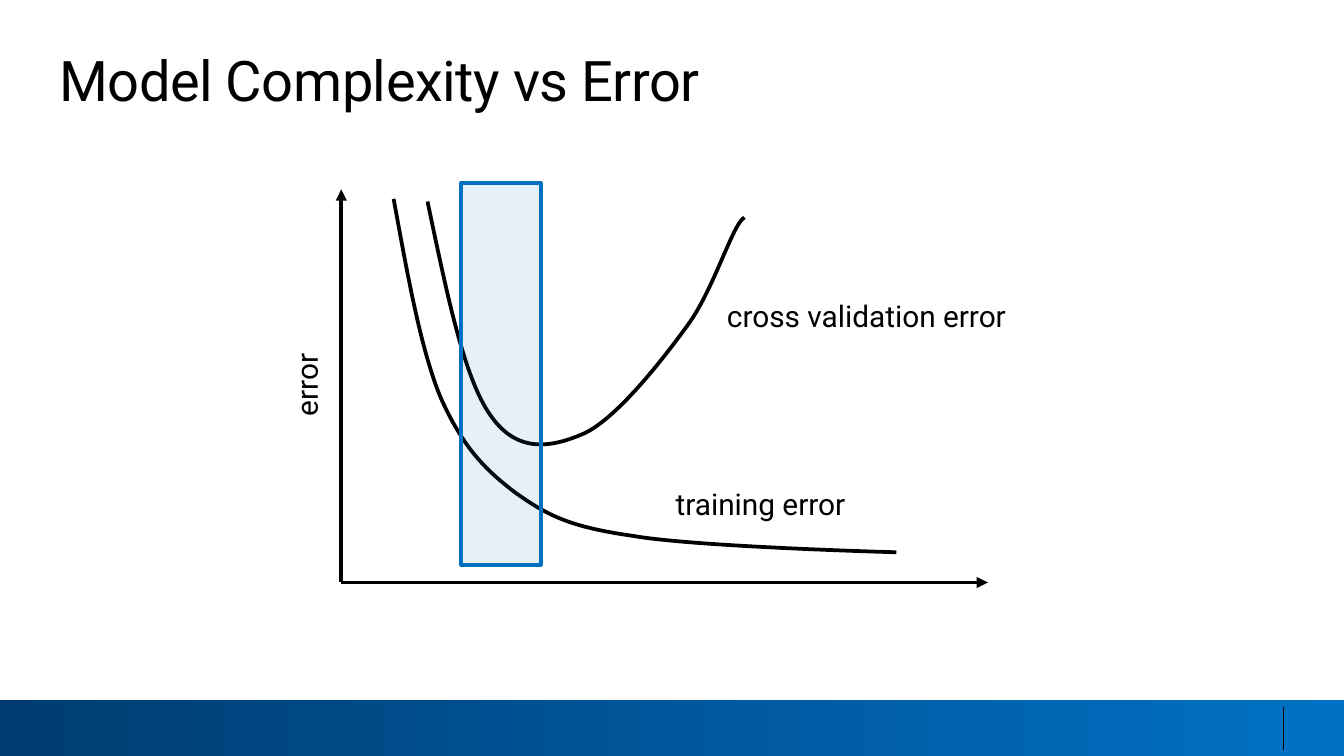
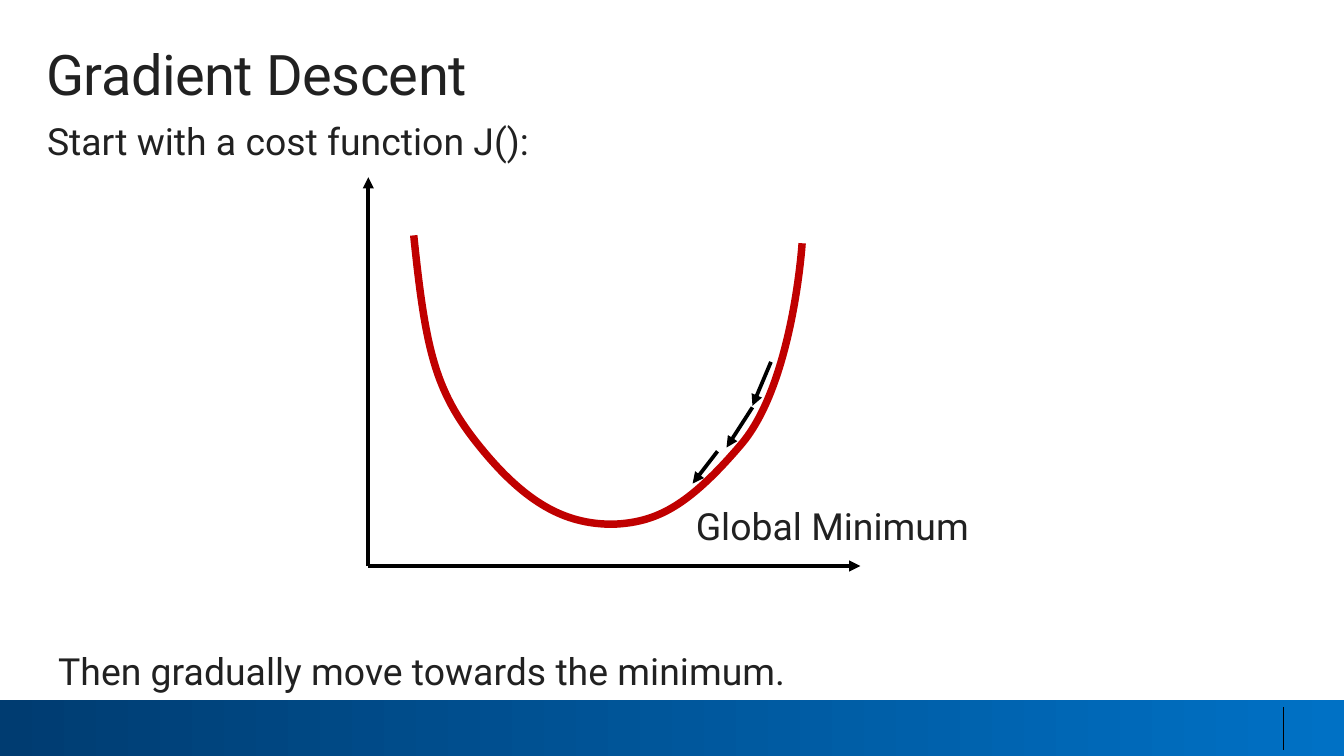
from dataclasses import dataclass
from typing import Any

from lxml import etree
from pptx import Presentation
from pptx import util as u
from pptx.dml.color import RGBColor
from pptx.enum import shapes, text
from pptx.oxml import ns

Point = tuple[float, float]  # centimetres


@dataclass(frozen=True)
class Theme:
    font: str = "Roboto"
    black: str = "000000"
    ink: str = "212121"
    band_start: str = "003C71"
    band_end: str = "0071C5"
    zone: str = "0070C0"
    cost: str = "C00000"
    title_size: float = 30
    body_size: float = 20
    label_size: float = 16
    stroke: float = 2
    cost_stroke: float = 4
    divider_stroke: float = 0.75


THEME = Theme()
SLIDE_WIDTH, SLIDE_HEIGHT = 25.4, 14.29
BAND_TOP = 13.23


@dataclass(frozen=True)
class Box:
    left: float
    top: float
    width: float
    height: float

    def lengths(self) -> list[u.Length]:
        return [u.Cm(v) for v in (self.left, self.top, self.width, self.height)]


@dataclass(frozen=True)
class Caption:
    """Body text on the slide."""
    words: str
    box: Box


@dataclass(frozen=True)
class CurveLabel:
    """Small label that belongs to the plot."""
    words: str
    box: Box
    align: Any = text.PP_ALIGN.LEFT
    anchor: Any = text.MSO_ANCHOR.BOTTOM
    rotation: float = 0
    bottom_inset: float = 0.05


@dataclass(frozen=True)
class Segment:
    start: Point
    end: Point
    color: str = THEME.black
    width: float = THEME.stroke
    arrow: bool = True


@dataclass(frozen=True)
class Curve:
    """Cubic Bézier chain: a start, then two controls and an end per piece."""
    points: tuple[Point, ...]
    color: str = THEME.black
    width: float = THEME.stroke


def apply(target: Any, values: dict[str, Any]) -> None:
    for name, value in values.items():
        setattr(target, name, value)


def rgb(color: str) -> RGBColor:
    return RGBColor.from_string(color)


def set_line(line: Any, color: str, width: float) -> None:
    line.color.rgb = rgb(color)
    line.width = u.Pt(width)


def write(frame: Any, words: str, size: float, color: str,
          align: Any = text.PP_ALIGN.LEFT) -> Any:
    frame.text = words
    paragraph = frame.paragraphs[0]
    paragraph.alignment = align
    font = paragraph.runs[0].font
    apply(font, {"name": THEME.font, "size": u.Pt(size), "bold": False})
    font.color.rgb = rgb(color)
    return paragraph


# Drawing the repeated elements; a canvas is the shapes of a slide or group

def draw_segment(canvas: Any, segment: Segment) -> None:
    ends = [u.Cm(v) for v in (*segment.start, *segment.end)]
    connector = canvas.add_connector(shapes.MSO_CONNECTOR.STRAIGHT, *ends)
    set_line(connector.line, segment.color, segment.width)
    if segment.arrow:
        etree.SubElement(connector.line._get_or_add_ln(), ns.qn("a:tailEnd"), type="triangle")
    etree.SubElement(connector._element.spPr, ns.qn("a:effectLst"))


def draw_curve(canvas: Any, curve: Curve) -> None:
    start, *rest = [(u.Cm(x), u.Cm(y)) for x, y in curve.points]
    builder = canvas.build_freeform(*start)
    builder.add_line_segments(rest, close=False)
    outline = builder.convert_to_shape()
    outline.shadow.inherit = False
    outline.fill.background()
    set_line(outline.line, curve.color, curve.width)
    # Turn every three straight steps into one Bézier piece
    steps = list(outline._element.iter(ns.qn("a:lnTo")))
    route = steps[0].getparent()
    for first in range(0, len(steps), 3):
        piece = etree.SubElement(route, ns.qn("a:cubicBezTo"))
        for step in steps[first:first + 3]:
            piece.append(step[0])
            route.remove(step)


def draw_caption(canvas: Any, caption: Caption) -> None:
    frame = canvas.add_textbox(*caption.box.lengths()).text_frame
    frame.word_wrap = True
    write(frame, caption.words, THEME.body_size, THEME.ink)


def draw_curve_label(canvas: Any, label: CurveLabel) -> None:
    plate = canvas.add_shape(shapes.MSO_SHAPE.RECTANGLE, *label.box.lengths())
    plate.rotation = label.rotation
    plate.shadow.inherit = False
    plate.fill.background()
    plate.line.fill.background()
    apply(plate.text_frame, {
        "word_wrap": True,
        "vertical_anchor": label.anchor,
        "margin_bottom": u.Cm(label.bottom_inset),
    })
    paragraph = write(plate.text_frame, label.words, THEME.label_size, THEME.black, label.align)
    paragraph.line_spacing = u.Pt(21)


def draw_footer(canvas: Any) -> None:
    box = Box(0, BAND_TOP, SLIDE_WIDTH, SLIDE_HEIGHT - BAND_TOP)
    band = canvas.add_shape(shapes.MSO_SHAPE.RECTANGLE, *box.lengths())
    band.shadow.inherit = False
    band.line.fill.background()
    band.fill.gradient()
    band.fill.gradient_angle = 0
    colors = (THEME.band_start, THEME.band_end)
    for stop, color, position in zip(band.fill.gradient_stops, colors, (0, 1)):
        stop.color.rgb = rgb(color)
        stop.position = position
    draw_segment(canvas, Segment((24.26, 13.36), (24.26, 14.17),
                                 width=THEME.divider_stroke, arrow=False))


def draw_axes(canvas: Any, origin: Point, top: float, right: float) -> None:
    for tip in ((origin[0], top), (right, origin[1])):
        draw_segment(canvas, Segment(origin, tip))


def draw_zone(canvas: Any, box: Box) -> None:
    zone = canvas.add_shape(shapes.MSO_SHAPE.RECTANGLE, *box.lengths())
    zone.shadow.inherit = False
    zone.fill.solid()
    zone.fill.fore_color.rgb = rgb(THEME.zone)
    tint = zone._element.spPr.find(ns.qn("a:solidFill")).find(ns.qn("a:srgbClr"))
    etree.SubElement(tint, ns.qn("a:alpha"), val="10000")
    set_line(zone.line, THEME.zone, THEME.stroke)


def add_titled_slide(deck: Any, words: str, box: Box, color: str) -> Any:
    slide = deck.slides.add_slide(deck.slide_layouts[5])
    title = slide.shapes.title
    apply(title, dict(zip(("left", "top", "width", "height"), box.lengths())))
    apply(title.text_frame, {
        "margin_left": 0, "margin_right": 0, "margin_top": 0, "margin_bottom": 0,
        "word_wrap": True,
        "auto_size": text.MSO_AUTO_SIZE.NONE,
        "vertical_anchor": text.MSO_ANCHOR.TOP,
    })
    paragraph = write(title.text_frame, words, THEME.title_size, color)
    paragraph.runs[0]._r.get_or_add_rPr().set("spc", "-25")
    draw_footer(slide.shapes)
    return slide


# Slide contents

VALIDATION_ERROR = Curve((
    (8.08, 3.81),
    (8.43, 5.46), (8.76, 7.14), (9.27, 7.85),
    (9.78, 8.59), (10.44, 8.46), (11.07, 8.18),
    (11.68, 7.87), (12.5, 6.83), (12.98, 6.17),
    (13.49, 5.49), (13.84, 4.24), (14.07, 4.11),
))
TRAINING_ERROR = Curve((
    (7.44, 3.76),
    (7.7, 5.18), (7.95, 6.6), (8.33, 7.52),
    (8.74, 8.43), (9.14, 8.86), (9.75, 9.32),
    (10.36, 9.75), (10.77, 9.96), (11.96, 10.13),
    (13.16, 10.34), (16.94, 10.44), (16.94, 10.44),
))
COST = Curve((
    (7.82, 4.45),
    (8.05, 6.68), (8.23, 7.44), (9.14, 8.53),
    (10.03, 9.6), (10.77, 9.91), (11.58, 9.91),
    (12.4, 9.88), (13, 9.58), (14, 8.41),
    (14.99, 7.26), (15.16, 4.6), (15.16, 4.6),
), THEME.cost, THEME.cost_stroke)
CURVE_LABELS = (
    CurveLabel("error", Box(2.06, 6.5, 7.39, 1.55), text.PP_ALIGN.CENTER,
               text.MSO_ANCHOR.MIDDLE, rotation=270, bottom_inset=0.13),
    CurveLabel("cross validation error", Box(13.49, 4.8, 7.09, 1.55)),
    CurveLabel("training error", Box(12.52, 8.36, 7.09, 1.55)),
)
DESCENT_CAPTIONS = (
    Caption("Start with a cost function J():", Box(0.64, 2.1, 10.64, 1.12)),
    Caption("Global Minimum", Box(12.9, 9.39, 6.25, 1.12)),
    Caption("Then gradually move towards the minimum.", Box(0.85, 12.12, 16.23, 1.12)),
)
DESCENT_STEPS = (
    Segment((14.57, 6.84), (14.22, 7.67)),
    Segment((14.22, 7.7), (13.73, 8.46)),
    Segment((13.56, 8.53), (13.09, 9.14)),
)


def build_complexity(deck: Any) -> None:
    slide = add_titled_slide(deck, "Model Complexity vs Error",
                             Box(1.12, 0.86, 23.44, 1.27), THEME.black)
    plot = slide.shapes.add_group_shape().shapes
    draw_axes(plot, origin=(6.45, 11.01), top=3.58, right=18.67)
    for curve in (VALIDATION_ERROR, TRAINING_ERROR):
        draw_curve(plot, curve)
    for label in CURVE_LABELS:
        draw_curve_label(plot, label)
    draw_zone(slide.shapes, Box(8.72, 3.46, 1.5, 7.22))


def build_descent(deck: Any) -> None:
    slide = add_titled_slide(deck, "Gradient Descent",
                             Box(0.87, 0.74, 23.42, 1.27), THEME.ink)
    canvas = slide.shapes
    draw_axes(canvas, origin=(6.96, 10.7), top=3.35, right=16.26)
    draw_curve(canvas, COST)
    for caption in DESCENT_CAPTIONS:
        draw_caption(canvas, caption)
    for step in DESCENT_STEPS:
        draw_segment(canvas, step)


def main() -> None:
    deck = Presentation()
    apply(deck, {"slide_width": u.Cm(SLIDE_WIDTH), "slide_height": u.Cm(SLIDE_HEIGHT)})
    build_complexity(deck)
    build_descent(deck)
    deck.save("out.pptx")


if __name__ == "__main__":
    main()
